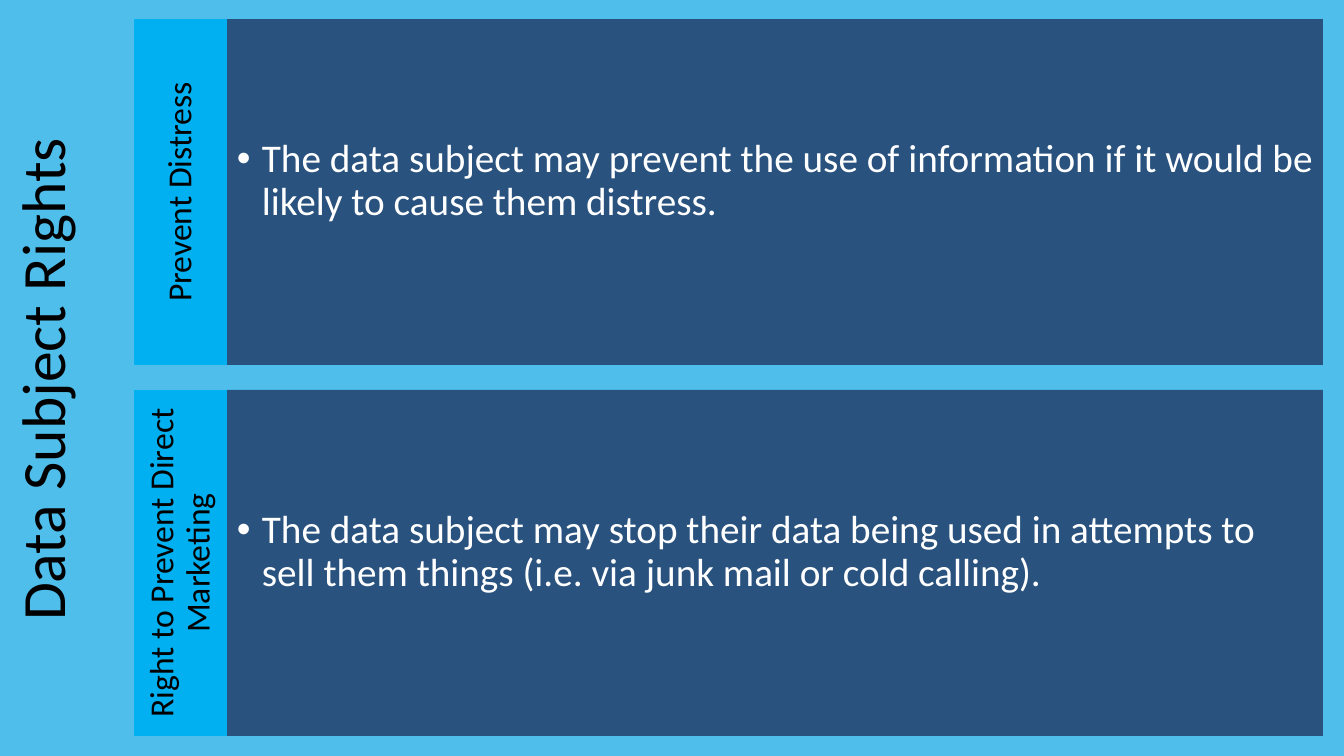
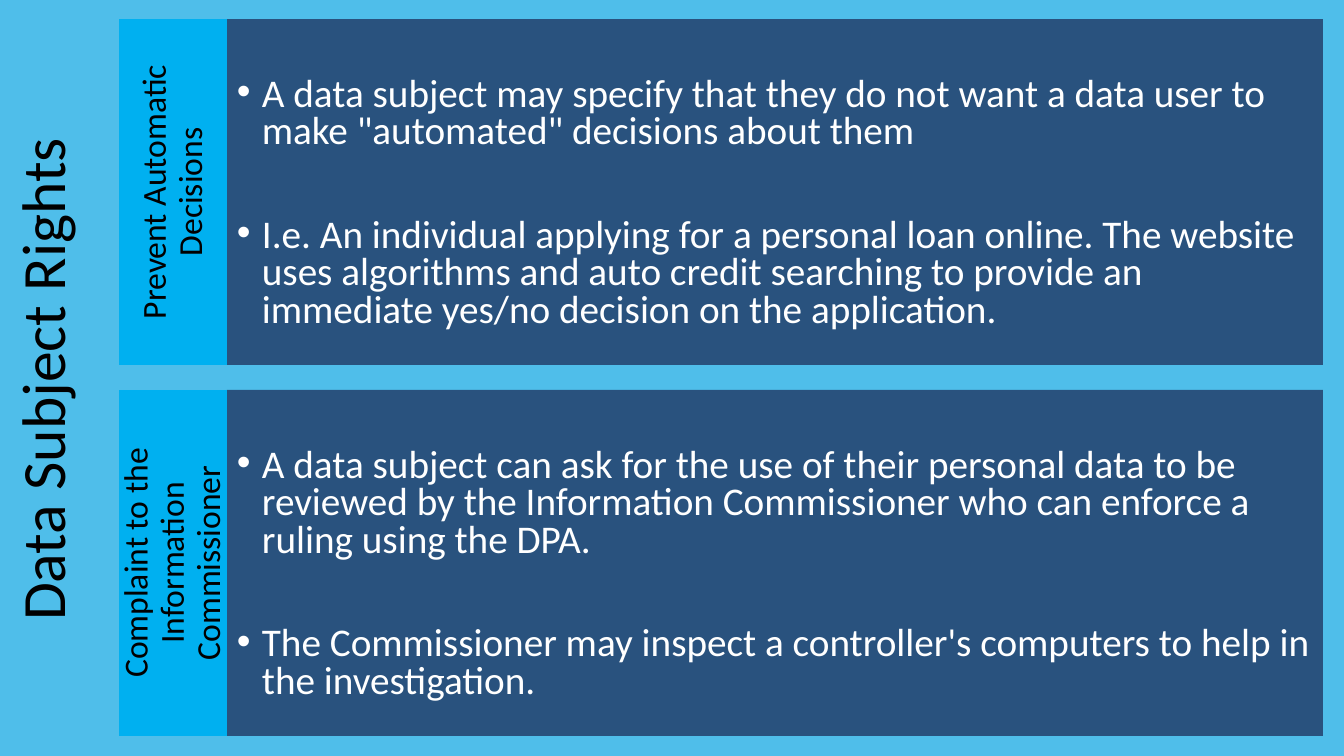
from lxml import etree
from pptx import Presentation
from pptx.dml.color import RGBColor
from pptx.enum.shapes import MSO_SHAPE as SHAPE
from pptx.enum.text import MSO_ANCHOR as ANCHOR, PP_ALIGN as ALIGN
from pptx.oxml.ns import qn
from pptx.util import Pt

PX = 914400 / 100.8
FONT = "Calibri"
COLORS = {
    "background": "4FBEEA",
    "panel": "203864",
    "label": "00B0F0",
    "dark": "000000",
    "light": "FFFFFF",
}
TITLE = "Data Subject Rights"
TITLE_W, TITLE_H = 92, 759
PANEL_X, PANEL_Y, PANEL_W, PANEL_H = 227, 19, 1096, 346
PANEL_STEP = PANEL_H + 25
INDENT = 25

SLIDES = [
    {
        "label_w": 93,
        "text_top": 120,
        "spacing": 0.9,
        "rights": [
            ("Prevent Distress", [
                "The data subject may prevent the use of information if it would be likely to cause them distress.",
            ]),
            ("Right to Prevent Direct Marketing", [
                "The data subject may stop their data being used in attempts to sell them things (i.e. via junk mail or cold calling).",
            ]),
        ],
    },
    {
        "label_w": 108,
        "text_top": 58,
        "spacing": 0.8,
        "rights": [
            ("Prevent Automatic Decisions", [
                'A data subject may specify that they do not want a data user to make "automated" decisions about them',
                "I.e. An individual applying for a personal loan online. The website uses algorithms and auto credit searching to provide an immediate yes/no decision on the application.",
            ]),
            ("Complaint to the Information Commissioner", [
                "A data subject can ask for the use of their personal data to be reviewed by the Information Commissioner who can enforce a ruling using the DPA.",
                "The Commissioner may inspect a controller's computers to help in the investigation.",
            ]),
        ],
    },
]


def px(n):
    return round(n * PX)


def add_block(slide, box, lines, size, color, fill=None, spacing=0.9, upright=False):
    x, y, w, h = box
    if upright:
        x, y, w, h = x + (w - h) / 2, y + (h - w) / 2, h, w
    frame = [px(n) for n in (x, y, w, h)]
    if fill:
        sp = slide.shapes.add_shape(SHAPE.RECTANGLE, *frame)
        sp.shadow.inherit = False
        sp.fill.solid()
        sp.fill.fore_color.rgb = RGBColor.from_string(COLORS[fill])
        sp.line.fill.background()
    else:
        sp = slide.shapes.add_textbox(*frame)
    if upright:
        sp.rotation = 270
    tf = sp.text_frame
    tf.word_wrap = True
    tf.vertical_anchor = ANCHOR.MIDDLE if upright else ANCHOR.TOP
    tf.text = "\n".join(lines)
    for p in tf.paragraphs:
        p.alignment = ALIGN.CENTER if upright else ALIGN.LEFT
        p.line_spacing = spacing
        for r in p.runs:
            r.font.name = FONT
            r.font.size = Pt(size)
            r.font.color.rgb = RGBColor.from_string(COLORS[color])
    return sp


prs = Presentation()
prs.slide_width, prs.slide_height = px(1344), px(756)

for page in SLIDES:
    slide = prs.slides.add_slide(prs.slide_layouts[6])
    bg = slide.background.fill
    bg.solid()
    bg.fore_color.rgb = RGBColor.from_string(COLORS["background"])
    add_block(slide, (0, 0, TITLE_W, TITLE_H), [TITLE], 44, "dark", upright=True)

    label_w = page["label_w"]
    for i, (label, points) in enumerate(page["rights"]):
        y = PANEL_Y + i * PANEL_STEP
        panel = add_block(slide, (PANEL_X, y, PANEL_W, PANEL_H), points, 28, "light",
                          "panel", page["spacing"])
        clr = panel.fill._xPr.find(qn("a:solidFill"))[0]
        etree.SubElement(clr, qn("a:alpha")).set("val", "80000")
        tf = panel.text_frame
        tf.margin_top = px(page["text_top"])
        for n, p in enumerate(tf.paragraphs):
            if n:
                p.space_before = Pt(47)
            pPr = p._p.get_or_add_pPr()
            pPr.set("marL", str(px(INDENT)))
            pPr.set("indent", str(-px(INDENT)))
            etree.SubElement(pPr, qn("a:buFont")).set("typeface", "Arial")
            etree.SubElement(pPr, qn("a:buChar")).set("char", "•")
        add_block(slide, (PANEL_X - label_w, y, label_w, PANEL_H), [label], 24, "dark",
                  "label", upright=True)

prs.save("out.pptx")
